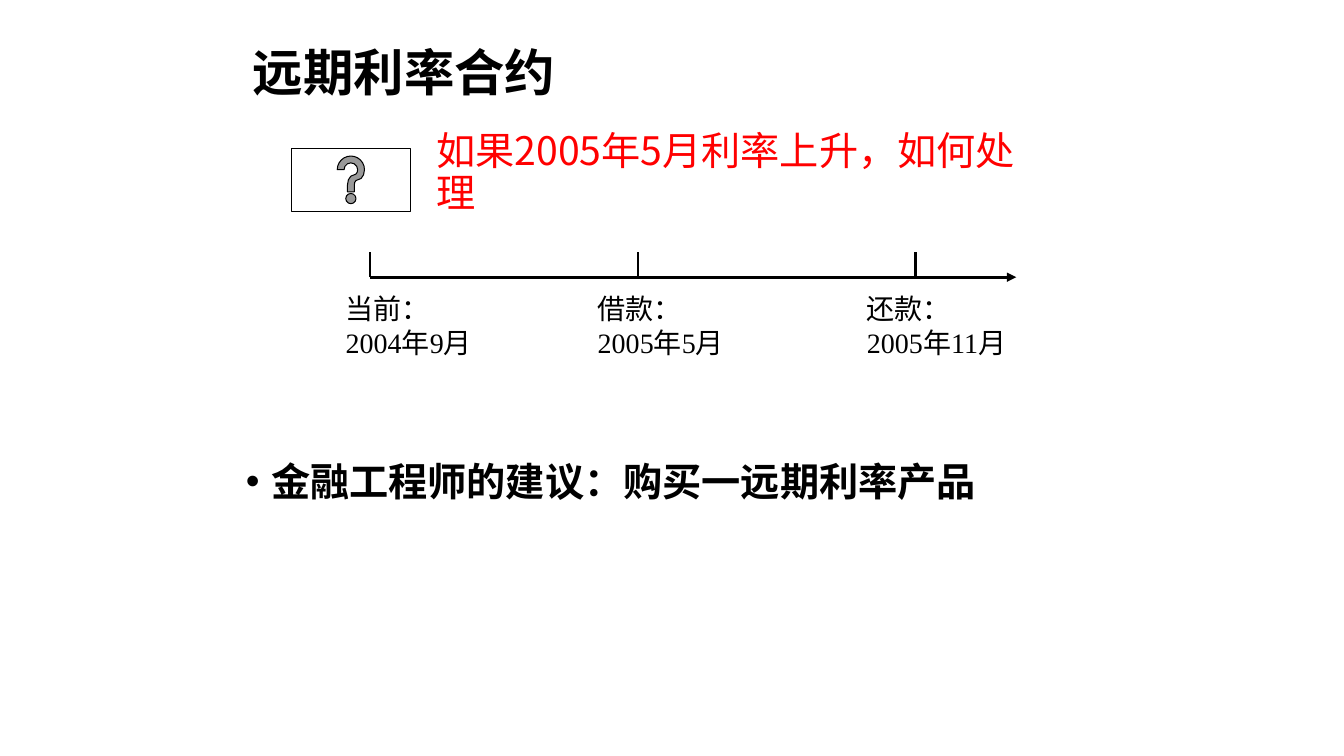
import pptx
import pptx.util
import pptx.dml.color
import pptx.enum.shapes
import pptx.enum.text
import pptx.oxml.ns
from lxml import etree
from pptx.util import Inches

COLORS = {"black": "000000", "white": "FFFFFF", "red": "FF0000"}
SANS = "Noto Sans CJK SC"
SERIF = "Times New Roman"
qn = pptx.oxml.ns.qn


def add_text(left, top, width, height, lines, size, font_name=SANS,
             color="black", bold=False, middle=False):
    """Add a text box with one paragraph per line and return its text frame."""
    box = slide.shapes.add_textbox(Inches(left), Inches(top), Inches(width), Inches(height))
    frame = box.text_frame
    frame.word_wrap = True
    if middle:
        frame.vertical_anchor = pptx.enum.text.MSO_ANCHOR.MIDDLE
    for index, line in enumerate(lines):
        paragraph = frame.add_paragraph() if index else frame.paragraphs[0]
        run = paragraph.add_run()
        run.text = line
        run.font.size = pptx.util.Pt(size)
        run.font.bold = bold
        run.font.color.rgb = pptx.dml.color.RGBColor.from_string(COLORS[color])
        run.font.name = font_name
        east_asian = etree.SubElement(run.font._element, qn("a:ea"))
        east_asian.set("typeface", SANS)
    return frame


def add_line(start_x, start_y, end_x, end_y, width):
    line = slide.shapes.add_connector(
        pptx.enum.shapes.MSO_CONNECTOR.STRAIGHT,
        Inches(start_x), Inches(start_y), Inches(end_x), Inches(end_y))
    line.line.width = pptx.util.Pt(width)
    line.line.color.rgb = pptx.dml.color.RGBColor.from_string(COLORS["black"])
    etree.SubElement(line._element.spPr, qn("a:effectLst"))
    return line


presentation = pptx.Presentation()
presentation.slide_width = Inches(13.33)
presentation.slide_height = Inches(7.5)
slide = presentation.slides.add_slide(presentation.slide_layouts[6])

# Title and question
add_text(2.41, 0.36, 8.27, 0.71, ["远期利率合约"], 36, bold=True)
question = add_text(4.23, 1.39, 6.3, 0.67, ["如果2005年5月利率上升，如何处理"], 28,
                    color="red", middle=True)
question.paragraphs[0].line_spacing = 0.9

help_button = slide.shapes.add_shape(
    pptx.enum.shapes.MSO_SHAPE.ACTION_BUTTON_HELP,
    Inches(2.89), Inches(1.47), Inches(1.18), Inches(0.63))
help_button.shadow.inherit = False
help_button.fill.solid()
help_button.fill.fore_color.rgb = pptx.dml.color.RGBColor.from_string(COLORS["white"])
help_button.line.color.rgb = pptx.dml.color.RGBColor.from_string(COLORS["black"])
help_button.line.width = pptx.util.Pt(0.75)

# Timeline: tick position, label position, label lines
axis_y = 2.75
axis = add_line(3.67, axis_y, 10.08, axis_y, 2.25)
etree.SubElement(axis.line._get_or_add_ln(), qn("a:tailEnd")).set("type", "triangle")

milestones = [
    (3.67, 3.33, ["当前：", "2004年9月"]),
    (6.33, 5.83, ["借款：", "2005年5月"]),
    (9.08, 8.5, ["还款：", "2005年11月"]),
]
for tick_x, label_left, label_lines in milestones:
    add_line(tick_x, axis_y, tick_x, axis_y - 0.25, 1.5)
    add_text(label_left, 2.83, 2, 0.8, label_lines, 20, font_name=SERIF, middle=True)

# Advice
advice = add_text(2.34, 4.54, 8.64, 0.71, ["金融工程师的建议：购买一远期利率产品"], 28, bold=True)
advice_paragraph = advice.paragraphs[0]
advice_paragraph.line_spacing = 0.9
properties = advice_paragraph._p.get_or_add_pPr()
properties.set("marL", str(Inches(0.25)))
properties.set("indent", str(-Inches(0.25)))
etree.SubElement(properties, qn("a:buFont")).set("typeface", "Arial")
etree.SubElement(properties, qn("a:buChar")).set("char", "•")

presentation.save("out.pptx")
